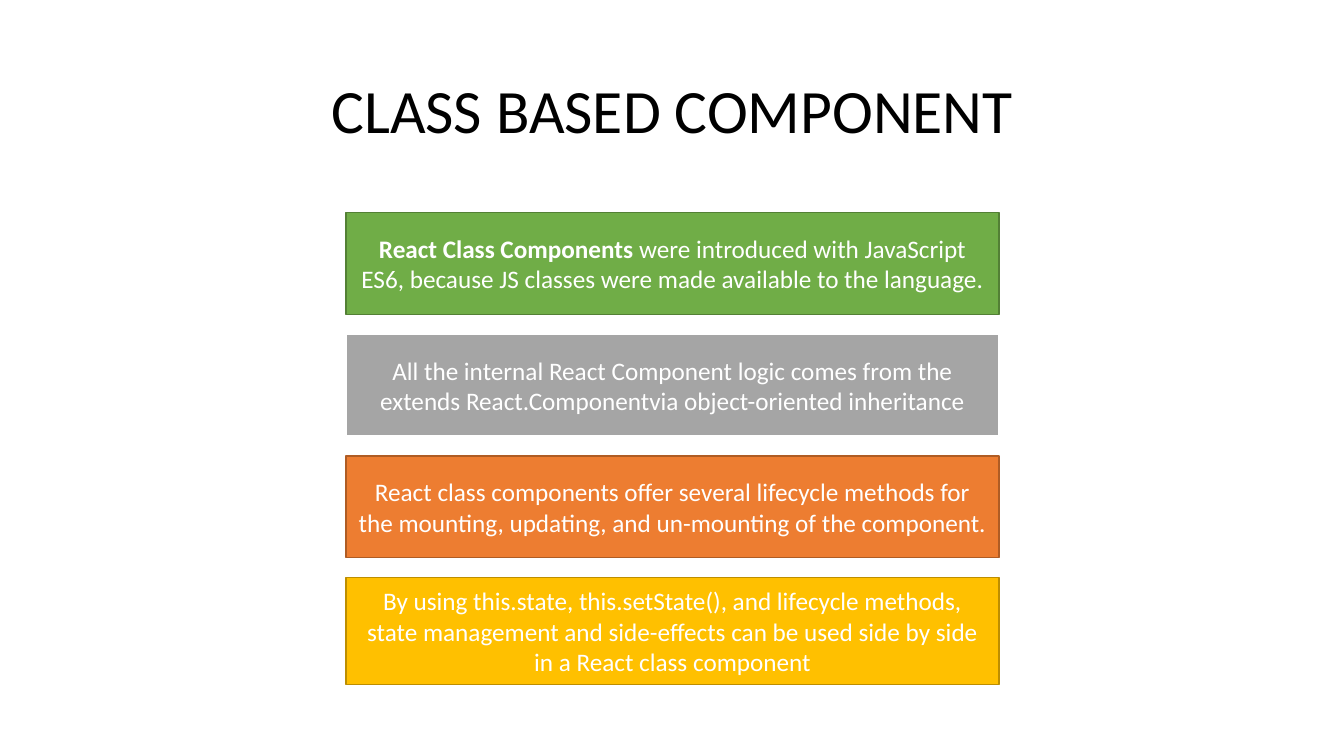
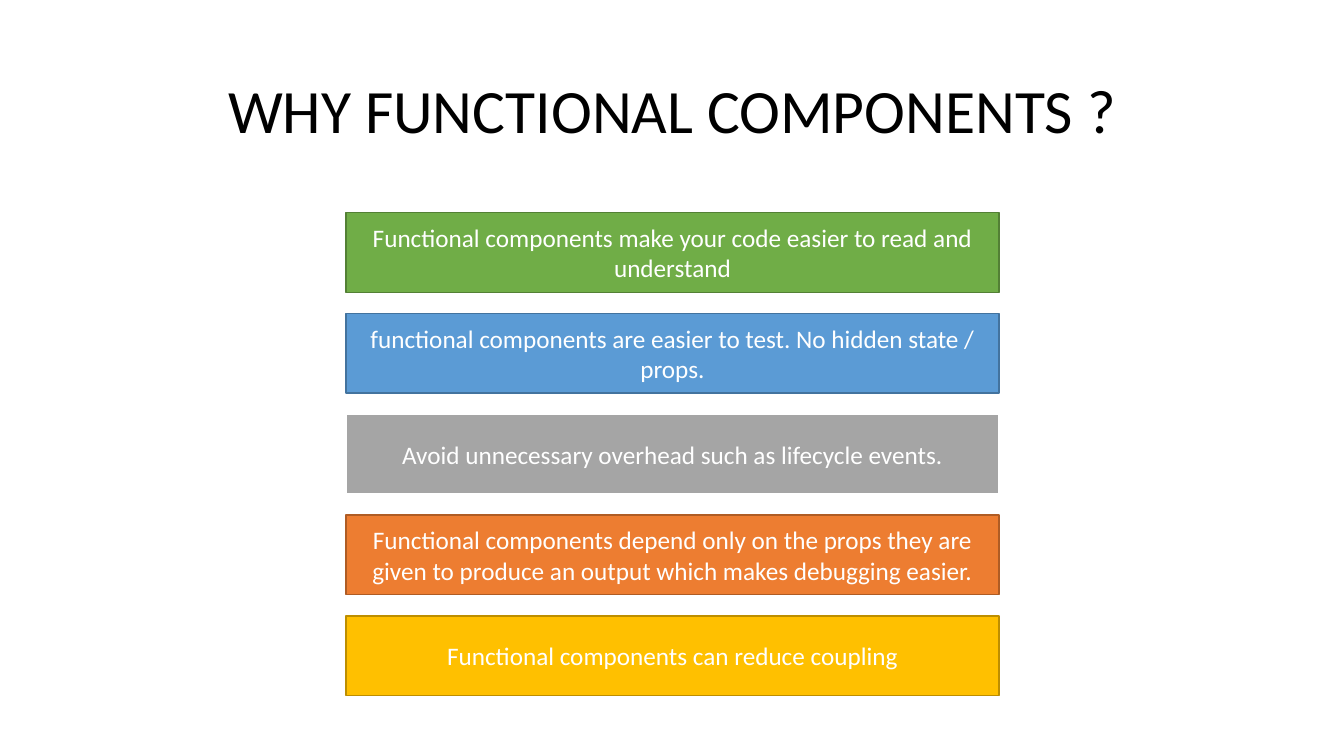
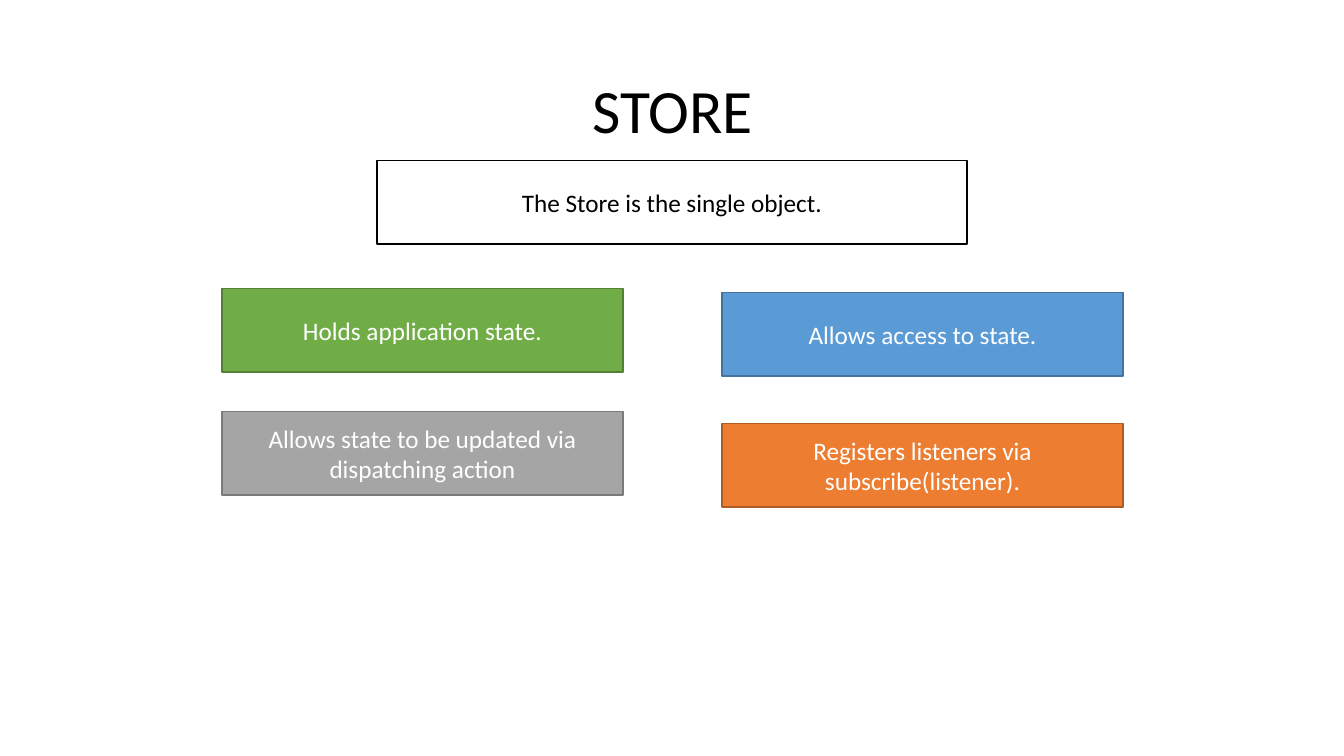
"""Build three slides about class components, functional components and the store."""
import pptx
import pptx.dml.color
import pptx.enum.shapes
import pptx.enum.text
import pptx.util

RGBColor = pptx.dml.color.RGBColor
Inches = pptx.util.Inches
Pt = pptx.util.Pt

BLACK = RGBColor(0x00, 0x00, 0x00)
WHITE = RGBColor(0xFF, 0xFF, 0xFF)
GREEN = RGBColor(0x70, 0xAD, 0x47)
DARK_GREEN = RGBColor(0x53, 0x80, 0x35)
BLUE = RGBColor(0x5B, 0x9B, 0xD5)
DARK_BLUE = RGBColor(0x43, 0x73, 0x9E)
GREY = RGBColor(0xA5, 0xA5, 0xA5)
DARK_GREY = RGBColor(0x7A, 0x7A, 0x7A)
ORANGE = RGBColor(0xED, 0x7D, 0x31)
DARK_ORANGE = RGBColor(0xAF, 0x5C, 0x24)
YELLOW = RGBColor(0xFF, 0xC0, 0x00)
DARK_YELLOW = RGBColor(0xBD, 0x8E, 0x00)

GREEN_BOX = {"fill": GREEN, "line": DARK_GREEN}
BLUE_BOX = {"fill": BLUE, "line": DARK_BLUE}
GREY_BOX = {"fill": GREY, "line": DARK_GREY}
PALE_EDGED_GREY_BOX = {"fill": GREY, "line": WHITE, "line_width": 1.5}
ORANGE_BOX = {"fill": ORANGE, "line": DARK_ORANGE}
YELLOW_BOX = {"fill": YELLOW, "line": DARK_YELLOW}
OUTLINED_BOX = {"fill": WHITE, "line": BLACK, "color": BLACK}


class Deck:
    """Hold the shared style, the presentation and the current slide."""

    font_name = "Calibri"
    title_size = 44
    box_size = 18

    def __init__(self):
        """Start an empty widescreen presentation."""
        self.presentation = pptx.Presentation()
        self.presentation.slide_width = Inches(13.33)
        self.presentation.slide_height = Inches(7.5)
        self.slide = None

    def fill_text(self, frame, runs, size, color):
        """Put centred runs, given as (text, bold) pairs, into a text frame."""
        frame_format = {
            "word_wrap": True,
            "auto_size": pptx.enum.text.MSO_AUTO_SIZE.NONE,
            "vertical_anchor": pptx.enum.text.MSO_ANCHOR.MIDDLE,
        }
        for name, value in frame_format.items():
            setattr(frame, name, value)
        paragraph = frame.paragraphs[0]
        paragraph.alignment = pptx.enum.text.PP_ALIGN.CENTER
        for text, bold in runs:
            run = paragraph.add_run()
            run.text = text
            font_format = {"name": self.font_name, "size": Pt(size), "bold": bold}
            for name, value in font_format.items():
                setattr(run.font, name, value)
            run.font.color.rgb = color
        return paragraph

    def add_slide(self, title):
        """Add a slide and set its title."""
        self.slide = self.presentation.slides.add_slide(self.presentation.slide_layouts[5])
        shape = self.slide.shapes.title
        position = {"left": 0.92, "top": 0.4, "width": 11.5, "height": 1.45}
        for name, value in position.items():
            setattr(shape, name, Inches(value))
        paragraph = self.fill_text(shape.text_frame, [(title, False)], self.title_size, BLACK)
        paragraph.line_spacing = 0.9

    def add_box(self, left, top, width, height, runs, fill, line, line_width=1, color=WHITE):
        """Add a filled rectangle with centred text."""
        shape = self.slide.shapes.add_shape(
            pptx.enum.shapes.MSO_SHAPE.RECTANGLE,
            Inches(left), Inches(top), Inches(width), Inches(height))
        shape.shadow.inherit = False
        shape.fill.solid()
        shape.fill.fore_color.rgb = fill
        shape.line.color.rgb = line
        shape.line.width = Pt(line_width)
        if isinstance(runs, str):
            runs = [(runs, False)]
        self.fill_text(shape.text_frame, runs, self.box_size, color)

    def add_stack(self, bottom_top, height, boxes, last_height=None):
        """Stack boxes at equal steps, the last one starting at bottom_top."""
        first_top = 2.11
        step = (bottom_top - first_top) / (len(boxes) - 1)
        heights = [height] * (len(boxes) - 1) + [last_height or height]
        for index, (runs, style) in enumerate(boxes):
            self.add_box(3.43, first_top + index * step, 6.48, heights[index], runs, **style)


def main():
    """Build and save the slides."""
    deck = Deck()

    deck.add_slide("CLASS BASED COMPONENT")
    deck.add_stack(5.73, 1.01, [
        ([("React Class Components", True),
          (" were introduced with JavaScript ES6, because JS classes were made "
           "available to the language.", False)], GREEN_BOX),
        ("All the internal React Component logic comes from the extends "
         "React.Componentvia object-oriented inheritance", PALE_EDGED_GREY_BOX),
        ("React class components offer several lifecycle methods for the mounting, "
         "updating, and un-mounting of the component.", ORANGE_BOX),
        ("By using this.state, this.setState(), and lifecycle methods, state management "
         "and side-effects can be used side by side in a React class component", YELLOW_BOX),
    ], last_height=1.06)

    deck.add_slide("WHY FUNCTIONAL COMPONENTS ?")
    deck.add_stack(6.11, 0.79, [
        ("Functional components make your code easier to read and understand", GREEN_BOX),
        ("functional components are easier to test. No hidden state / props.", BLUE_BOX),
        ("Avoid unnecessary overhead such as lifecycle events.", PALE_EDGED_GREY_BOX),
        ("Functional components depend only on the props they are given to produce an "
         "output which makes debugging easier.", ORANGE_BOX),
        ("Functional components can reduce coupling", YELLOW_BOX),
    ])

    deck.add_slide("STORE")
    left_column, right_column, column_width, height = 2.2, 7.16, 3.98, 0.83
    deck.add_box(3.74, 1.59, 5.85, height, "The Store is the single object.", **OUTLINED_BOX)
    for left, top, text, style in [
        (left_column, 2.86, "Holds application state.", GREEN_BOX),
        (left_column, 4.08, "Allows state to be updated via dispatching action", GREY_BOX),
        (right_column, 2.9, "Allows access to state.", BLUE_BOX),
        (right_column, 4.2, "Registers listeners via subscribe(listener).", ORANGE_BOX),
    ]:
        deck.add_box(left, top, column_width, height, text, **style)

    deck.presentation.save("out.pptx")


if __name__ == "__main__":
    main()
